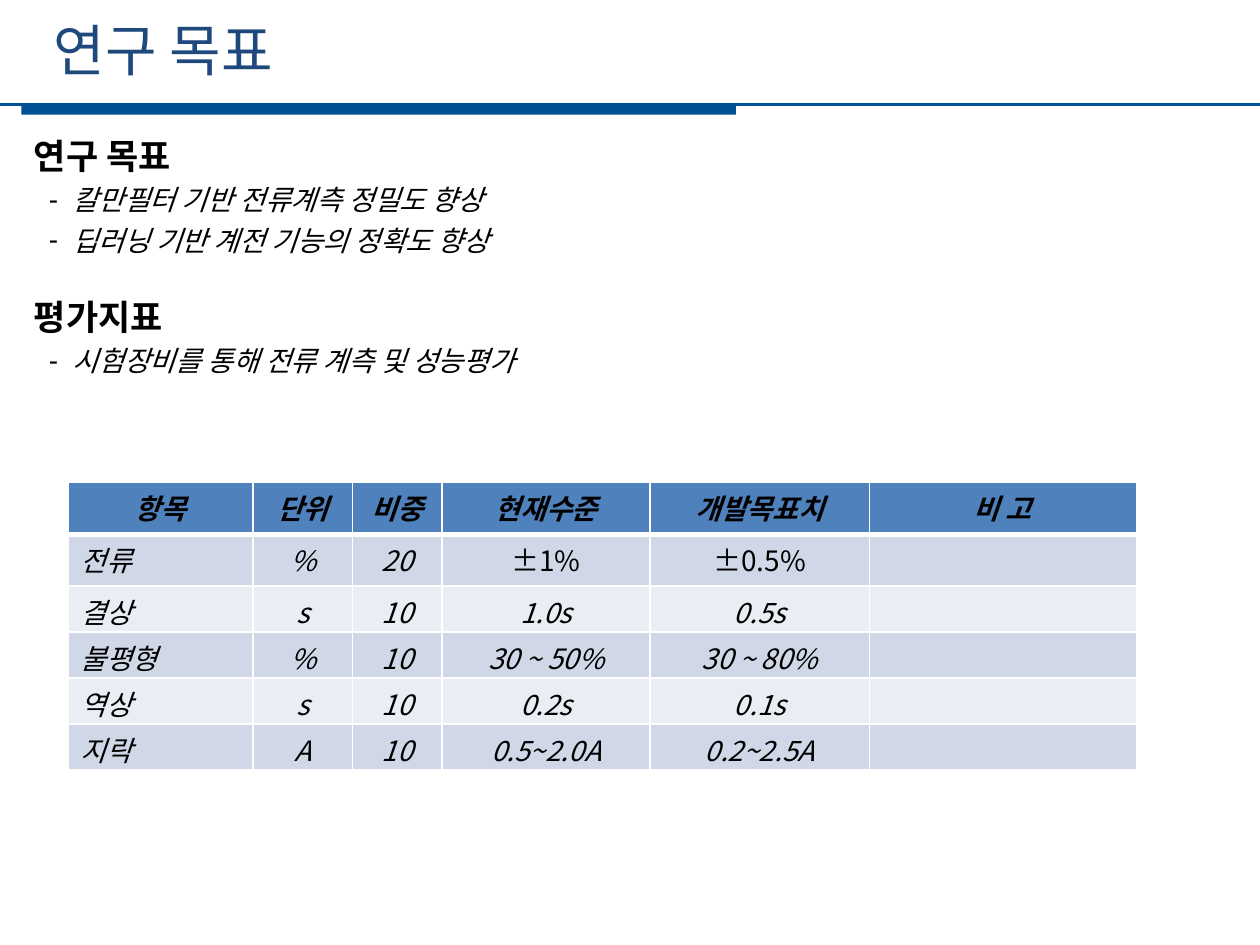
from typing import NamedTuple

from lxml.etree import SubElement
from pptx import Presentation
from pptx.dml.color import RGBColor
from pptx.enum.shapes import MSO_CONNECTOR as Connector, MSO_SHAPE as Shape
from pptx.enum.text import PP_ALIGN as Align
from pptx.oxml.ns import qn
from pptx.util import Inches, Pt

COLORS = {
    "rule": "005094", "title": "1F497D", "text": "000000", "border": "FFFFFF",
    "header": "4F81BD", "odd": "D0D8E8", "even": "E9EDF4",
}
KOREAN, LATIN = "Noto Sans CJK KR", "Arial"
CELL = Inches(0.1)  # the slide is a grid of 100 columns by 75 rows


class Area(NamedTuple):
    left: float
    top: float
    width: float
    height: float


class Section(NamedTuple):
    heading: str
    points: list[str]


SECTIONS = [
    Section("연구 목표", ["칼만필터 기반 전류계측 정밀도 향상",
                      "딥러닝 기반 계전 기능의 정확도 향상"]),
    Section("평가지표", ["시험장비를 통해 전류 계측 및 성능평가"]),
]
METRICS = [
    ("항목", "단위", "비중", "현재수준", "개발목표치", "비 고"),
    ("전류", "%", "20", "±1%", "±0.5%", ""),
    ("결상", "s", "10", "1.0s", "0.5s", ""),
    ("불평형", "%", "10", "30 ~ 50%", "30 ~ 80%", ""),
    ("역상", "s", "10", "0.2s", "0.1s", ""),
    ("지락", "A", "10", "0.5~2.0A", "0.2~2.5A", ""),
]
METRIC_COLUMNS = [14.7, 7.9, 7.1, 16.5, 17.4, 21.2]
TABLE = Area(5.4, 38.3, sum(METRIC_COLUMNS), 22.8)
TALL_ROWS, TALL_HEIGHT = 2, 4.1


def grid(units: float) -> int:
    return round(units * CELL)


def rgb(name: str) -> RGBColor:
    return RGBColor.from_string(COLORS[name])


def style(paragraph, size: float, color: str = "text", font: str = KOREAN,
          bold: bool = False, italic: bool = False) -> None:
    for run in paragraph.runs:
        run.font.size, run.font.name = Pt(size), font
        run.font.bold, run.font.italic = bold, italic
        run.font.color.rgb = rgb(color)
        SubElement(run.font._element, qn("a:ea"), typeface=KOREAN)


def add_text_frame(slide, area: Area):
    frame = slide.shapes.add_textbox(*map(grid, area)).text_frame
    frame.word_wrap = True
    return frame


def add_title(slide, text: str) -> None:
    frame = add_text_frame(slide, Area(3.3, 1.2, 89.6, 6.4))
    frame.margin_top = frame.margin_bottom = 0
    frame.text = text
    style(frame.paragraphs[0], 32, "title")


def add_header_rule(slide) -> None:
    top = 8.3
    bar = slide.shapes.add_shape(Shape.RECTANGLE, *map(grid, Area(1.7, top, 56.7, 0.8)))
    bar.shadow.inherit = False
    bar.fill.solid()
    bar.fill.fore_color.rgb = rgb("rule")
    bar.line.fill.background()
    rule = slide.shapes.add_connector(Connector.STRAIGHT, 0, grid(top), grid(100), grid(top))
    rule.line.color.rgb = rgb("rule")
    rule.line.width = Pt(1.25)
    SubElement(rule._element.spPr, qn("a:effectLst"))


def add_dash(paragraph) -> None:
    properties = paragraph._p.get_or_add_pPr()
    properties.set("marL", str(grid(3.1)))
    properties.set("indent", str(grid(-1.9)))
    SubElement(properties, qn("a:buFont"), typeface=LATIN)
    SubElement(properties, qn("a:buChar"), char="-")


def add_sections(slide, sections: list[Section]) -> None:
    frame = add_text_frame(slide, Area(1.7, 10.3, 95.2, 20.4))
    frame.text = "\n".join(line for s in sections for line in (s.heading, *s.points))
    paragraphs = iter(frame.paragraphs)
    line_height = Pt(23)
    for number, section in enumerate(sections):
        heading = next(paragraphs)
        heading.line_spacing = line_height
        heading.space_before = line_height if number else 0
        style(heading, 20, font=LATIN, bold=True)
        for _ in section.points:
            point = next(paragraphs)
            point.line_spacing = line_height
            add_dash(point)
            style(point, 16, font=LATIN, italic=True)


def add_borders(cell, bottom: float) -> None:
    properties = cell._tc.get_or_add_tcPr()
    widths = {"lnL": 1, "lnR": 1, "lnT": 1, "lnB": bottom}
    for position, (side, width) in enumerate(widths.items()):
        line = SubElement(properties, qn(f"a:{side}"), w=str(Pt(width)))
        fill = SubElement(line, qn("a:solidFill"))
        SubElement(fill, qn("a:srgbClr"), val=COLORS["border"])
        properties.insert(position, line)  # borders come before the fill


def add_metrics(slide) -> None:
    table = slide.shapes.add_table(len(METRICS), len(METRIC_COLUMNS), *map(grid, TABLE)).table
    for column, width in zip(table.columns, METRIC_COLUMNS):
        column.width = grid(width)
    low_height = (TABLE.height - TALL_ROWS * TALL_HEIGHT) / (len(METRICS) - TALL_ROWS)
    for r, values in enumerate(METRICS):
        table.rows[r].height = grid(TALL_HEIGHT if r < TALL_ROWS else low_height)
        header = r == 0
        for c, value in enumerate(values):
            cell = table.cell(r, c)
            cell.margin_top, cell.margin_bottom = grid(0.4), 0
            cell.fill.solid()
            cell.fill.fore_color.rgb = rgb("header" if header else "odd" if r % 2 else "even")
            # the header has a thick lower edge, shared with the row below
            add_borders(cell, 3 if header else 1)
            cell.text_frame.text = value
            paragraph = cell.text_frame.paragraphs[0]
            paragraph.font.size = Pt(16)
            paragraph.alignment = Align.CENTER if header or c else Align.LEFT
            style(paragraph, 16, bold=header, italic="±" not in value)


def main() -> None:
    deck = Presentation()
    deck.slide_width, deck.slide_height = grid(100), grid(75)
    slide = deck.slides.add_slide(deck.slide_layouts[6])
    # Heading
    add_header_rule(slide)
    add_title(slide, "연구 목표")
    # Goals and evaluation
    add_sections(slide, SECTIONS)
    add_metrics(slide)
    deck.save("out.pptx")


if __name__ == "__main__":
    main()
